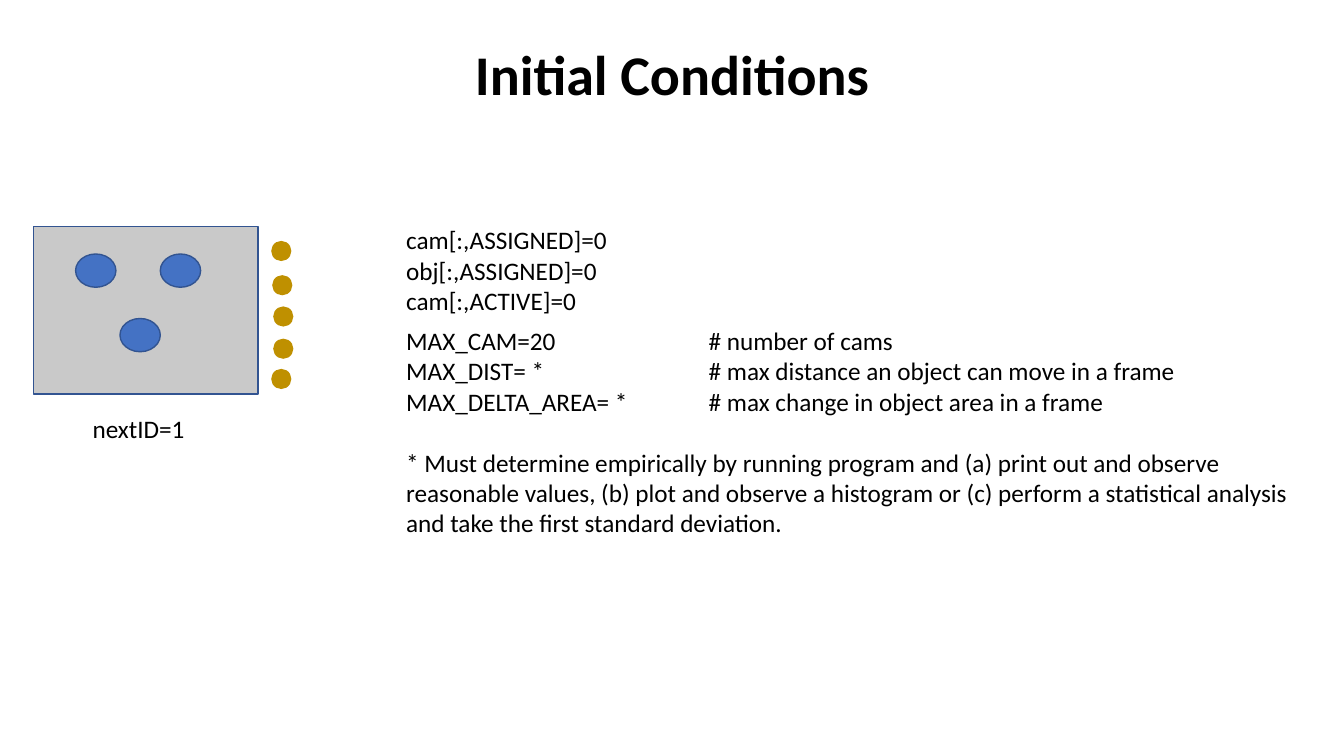
from lxml.etree import SubElement
from pptx import Presentation
from pptx.dml.color import RGBColor
from pptx.enum.shapes import MSO_SHAPE as Preset
from pptx.enum.text import MSO_ANCHOR as Anchor, PP_ALIGN as Align
from pptx.oxml.ns import qn
from pptx.util import Inches, Pt

COLORS = {"text": "000000", "frame": "C9C9C9", "object": "4472C4",
          "outline": "325491", "camera": "BF9000"}
FONT = "Calibri"
BODY_SIZE = 18
BODY_LINE = 22
COMMENT_TAB = 3

OBJECTS = [(0.42, 0.27), (1.26, 0.27), (0.86, 0.91)]
CAMERAS = [(2.36, 0.14), (2.37, 0.48), (2.38, 0.79), (2.38, 1.11), (2.36, 1.41)]
RESETS = ["cam[:,ASSIGNED]=0", "obj[:,ASSIGNED]=0", "cam[:,ACTIVE]=0"]
LIMITS = [("MAX_CAM=20", "# number of cams"),
          ("MAX_DIST= *", "# max distance an object can move in a frame"),
          ("MAX_DELTA_AREA= *", "# max change in object area in a frame")]
FOOTNOTE = ("* Must determine empirically by running program and (a) print out and observe "
            "reasonable values, (b) plot and observe a histogram or (c) perform a statistical "
            "analysis and take the first standard deviation.")


def color(name):
    return RGBColor.from_string(COLORS[name])


def inches(box):
    return [Inches(length) for length in box]


def add_figure(slide, preset, box, fill, outline=None):
    figure = slide.shapes.add_shape(preset, *inches(box))
    figure.shadow.inherit = False
    figure.fill.solid()
    figure.fill.fore_color.rgb = color(fill)
    if outline:
        figure.line.color.rgb = color(outline)
        figure.line.width = Pt(1)
    else:
        figure.line.fill.background()


def write(paragraph, text, size=BODY_SIZE, bold=False):
    run = paragraph.add_run()
    run.text = text
    run.font.name = FONT
    run.font.size = Pt(size)
    run.font.bold = bold
    run.font.color.rgb = color("text")


def add_lines(slide, box, lines, wrap=False):
    frame = slide.shapes.add_textbox(*inches(box)).text_frame
    frame.word_wrap = wrap
    for index, line in enumerate(lines):
        paragraph = frame.add_paragraph() if index else frame.paragraphs[0]
        write(paragraph, line)
    return frame.paragraphs


def set_tab(paragraph, position):
    tabs = SubElement(paragraph._p.get_or_add_pPr(), qn("a:tabLst"))
    SubElement(tabs, qn("a:tab"), pos=str(Inches(position)), algn="l")


def place_title(slide, box, text):
    title = slide.shapes.title
    title.left, title.top, title.width, title.height = inches(box)
    frame = title.text_frame
    frame.word_wrap = False
    frame.vertical_anchor = Anchor.MIDDLE
    heading = frame.paragraphs[0]
    heading.alignment = Align.CENTER
    write(heading, text, 40, True)


def draw_scene(slide, box):
    left, top, width, height = box
    add_figure(slide, Preset.RECTANGLE, box, "frame", "outline")
    for x, y in OBJECTS:
        add_figure(slide, Preset.OVAL, (left + x, top + y, 0.4, 0.33), "object", "outline")
    for x, y in CAMERAS:
        add_figure(slide, Preset.OVAL, (left + x, top + y, 0.2, 0.2), "camera")
    add_lines(slide, (left + 0.49, top + height + 0.14, 1.15, 0.4), ["nextID=1"])


def write_conditions(slide, box):
    left, top, width, height = box
    add_lines(slide, (left, top, 2.21, 1.31), RESETS)
    limits = ["\t".join(limit) for limit in LIMITS]
    *settings, footnote = add_lines(slide, (left, top + 1, width, height - 1),
                                    limits + [FOOTNOTE], wrap=True)
    for setting in settings:
        set_tab(setting, COMMENT_TAB)
    footnote.space_before = Pt(BODY_LINE)


deck = Presentation()
deck.slide_width, deck.slide_height = Inches(13.33), Inches(7.5)
slide = deck.slides.add_slide(deck.slide_layouts[5])
place_title(slide, (4.58, 0.34, 4.17, 0.77), "Initial Conditions")
draw_scene(slide, (0.33, 2.25, 2.23, 1.66))
write_conditions(slide, (3.93, 2.18, 8.95, 3.22))
deck.save("out.pptx")
